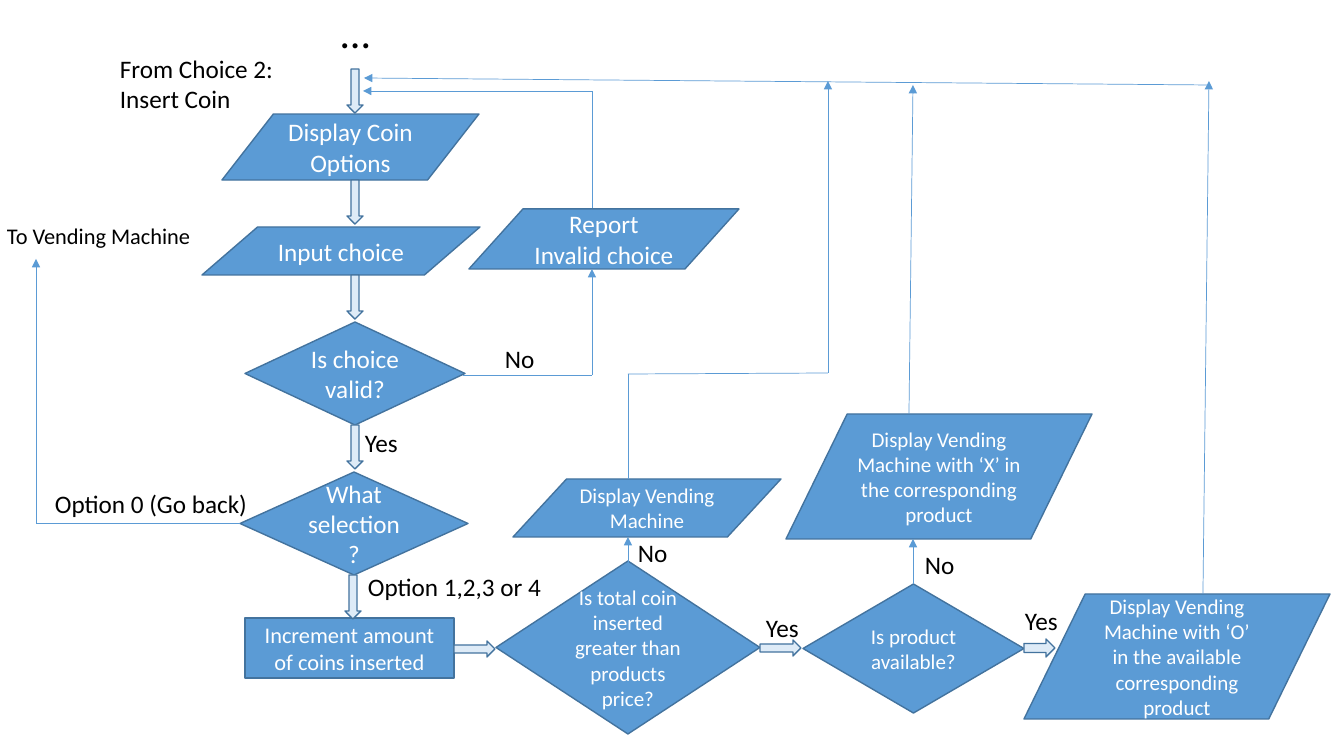
import itertools

import pptx
import pptx.dml.color
import pptx.enum.shapes
import pptx.enum.text
import pptx.oxml
import pptx.oxml.ns
import pptx.util

PX = 914400 / 100.8
FONT = "Calibri"
COLORS = {"step": "5B9BD5", "outline": "43739E", "arrow": "DEEBF7",
          "flow": "5B9BD5", "label": "000000", "step text": "FFFFFF"}
SHAPES = pptx.enum.shapes.MSO_SHAPE
ANCHORS = pptx.enum.text.MSO_ANCHOR
ALIGNS = pptx.enum.text.PP_ALIGN
DECISION = SHAPES.FLOWCHART_DECISION
IN_OUT = SHAPES.FLOWCHART_DATA

# kind, text, text size, (left, top, width, height)
STEPS = [
    (IN_OUT, "Display Coin Options", 18, (222, 114, 257, 66)),
    (IN_OUT, "Input choice", 18, (202, 227, 278, 48)),
    (DECISION, "Is choice valid?", 18, (245, 322, 220, 103)),
    (IN_OUT, "Report Invalid choice", 18, (469, 209, 270, 60)),
    (DECISION, "What selection?", 18, (240, 472, 228, 103)),
    (SHAPES.FLOWCHART_PROCESS, "Increment amount of coins inserted", 16, (245, 618, 209, 60)),
    (DECISION, "Is total coin inserted greater than products price?", 15, (496, 561, 264, 173)),
    (IN_OUT, "Display Vending Machine", 15, (513, 479, 268, 58)),
    (DECISION, "Is product available?", 15, (803, 584, 221, 129)),
    (IN_OUT, "Display Vending Machine with ‘X’ in the corresponding product", 15,
     (786, 414, 306, 125)),
    (IN_OUT, "Display Vending Machine with ‘O’ in the available corresponding product", 15,
     (1024, 594, 306, 125)),
]

DOWN_ARROWS = [(347, 69), (347, 180), (347, 275), (347, 425), (345, 575)]
RIGHT_ARROWS = [(454, 641, 41, 16), (760, 640, 41, 16), (1024, 639, 31, 18)]
BLOCK_ARROWS = [(SHAPES.DOWN_ARROW, (x, y, 16, 44)) for x, y in DOWN_ARROWS]
BLOCK_ARROWS += [(SHAPES.RIGHT_ARROW, box) for box in RIGHT_ARROWS]

# corner points of each thin route; the arrowhead sits at the last one
ROUTES = [
    [(463, 375), (592, 375), (592, 269)],
    [(592, 208), (592, 91), (363, 91)],
    [(240, 523), (36, 523), (36, 259)],
    [(1207, 85), (364, 78)],
    [(628, 564), (628, 537)],
    [(628, 479), (628, 374), (828, 373), (828, 81)],
    [(913, 584), (913, 539)],
    [(909, 414), (913, 85)],
    [(1203, 594), (1209, 81)],
]

# text, text size, (left, top, width, height), anchor
LABELS = [
    ("…", 30, (331, -50, 58, 112), ANCHORS.BOTTOM),
    ("From Choice 2:\nInsert Coin", 18, (110, 48, 303, 72), ANCHORS.TOP),
    ("To Vending Machine", 16, (-3, 217, 254, 37), ANCHORS.TOP),
    ("Option 0 (Go back)", 18, (45, 483, 222, 40), ANCHORS.TOP),
    ("Option 1,2,3 or 4", 18, (358, 566, 201, 40), ANCHORS.TOP),
]
LABELS += [("No", 18, (x, y, 55, 40), ANCHORS.TOP)
           for x, y in [(495, 338), (628, 532), (915, 544)]]
LABELS += [("Yes", 18, (x, y, 225, 40), ANCHORS.TOP)
           for x, y in [(355, 422), (756, 607), (1015, 600)]]


def emu(*pixels):
    """Turn pixel lengths into EMU."""
    return [pptx.util.Emu(round(length * PX)) for length in pixels]


def rgb(role):
    """Return the colour of a role."""
    return pptx.dml.color.RGBColor.from_string(COLORS[role])


def write(shape, text, size, color, align=ALIGNS.LEFT, anchor=ANCHORS.MIDDLE):
    """Put formatted text into a shape, one paragraph a line."""
    frame = shape.text_frame
    frame.word_wrap = True
    frame.vertical_anchor = anchor
    frame.text = text
    for paragraph in frame.paragraphs:
        paragraph.alignment = align
        font = paragraph.runs[0].font
        font.name = FONT
        font.size = pptx.util.Pt(size)
        font.color.rgb = rgb(color)


def add_block(slide, kind, box, fill):
    """Add a filled, outlined preset shape."""
    block = slide.shapes.add_shape(kind, *emu(*box))
    block.shadow.inherit = False
    block.fill.solid()
    block.fill.fore_color.rgb = rgb(fill)
    block.line.color.rgb = rgb("outline")
    block.line.width = pptx.util.Pt(1)
    return block


def add_route(slide, points):
    """Draw straight connectors through the points, ending in an arrowhead."""
    for start, end in itertools.pairwise(points):
        leg = slide.shapes.add_connector(
            pptx.enum.shapes.MSO_CONNECTOR.STRAIGHT, *emu(*start, *end))
        leg.line.color.rgb = rgb("flow")
        leg.line.width = pptx.util.Pt(0.5)
        properties = leg.element.spPr
        properties.append(pptx.oxml.parse_xml(
            "<a:effectLst %s/>" % pptx.oxml.ns.nsdecls("a")))
    leg.line._get_or_add_ln().append(pptx.oxml.parse_xml(
        '<a:tailEnd %s type="triangle"/>' % pptx.oxml.ns.nsdecls("a")))


deck = pptx.Presentation()
deck.slide_width, deck.slide_height = emu(1344, 756)
flowchart = deck.slides.add_slide(deck.slide_layouts[6])

for kind, text, size, box in STEPS:
    step = add_block(flowchart, kind, box, "step")
    write(step, text, size, "step text", align=ALIGNS.CENTER)
for kind, box in BLOCK_ARROWS:
    add_block(flowchart, kind, box, "arrow")
for route in ROUTES:
    add_route(flowchart, route)
for text, size, box, anchor in LABELS:
    label = flowchart.shapes.add_textbox(*emu(*box))
    write(label, text, size, "label", anchor=anchor)

deck.save("out.pptx")
